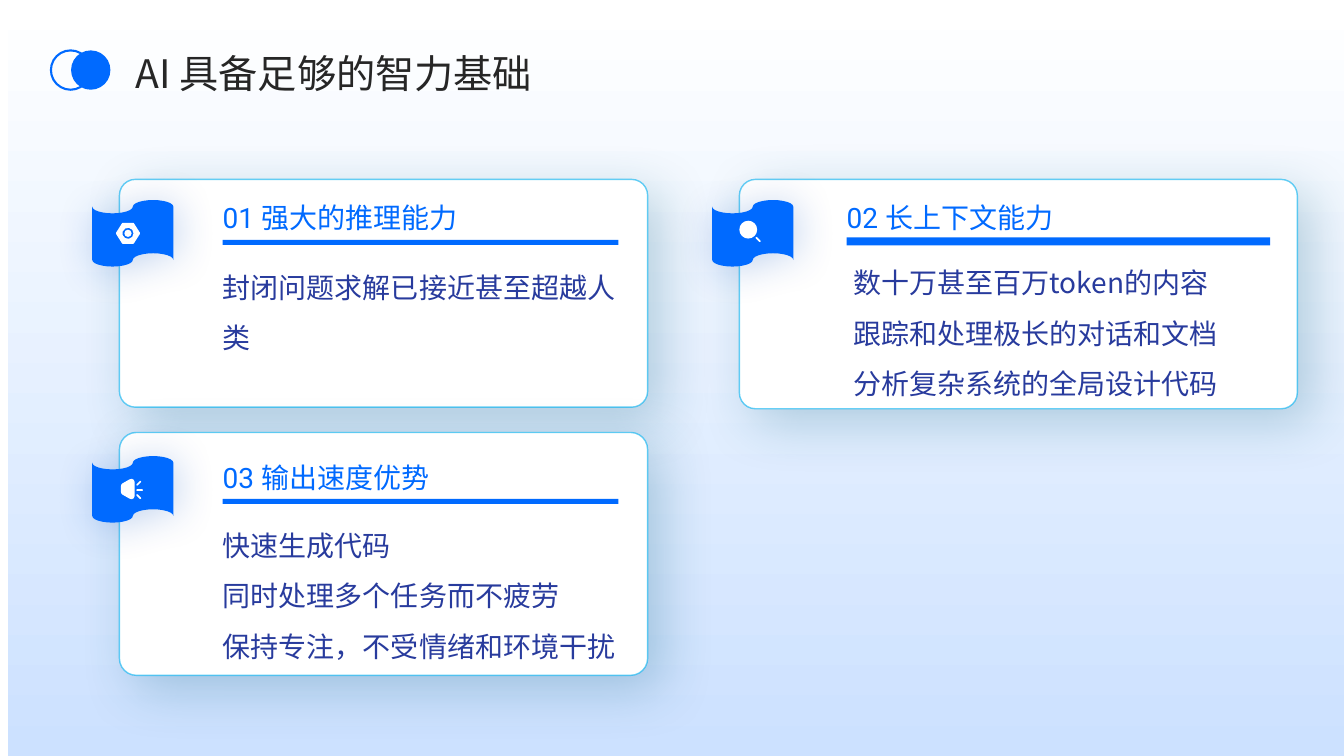
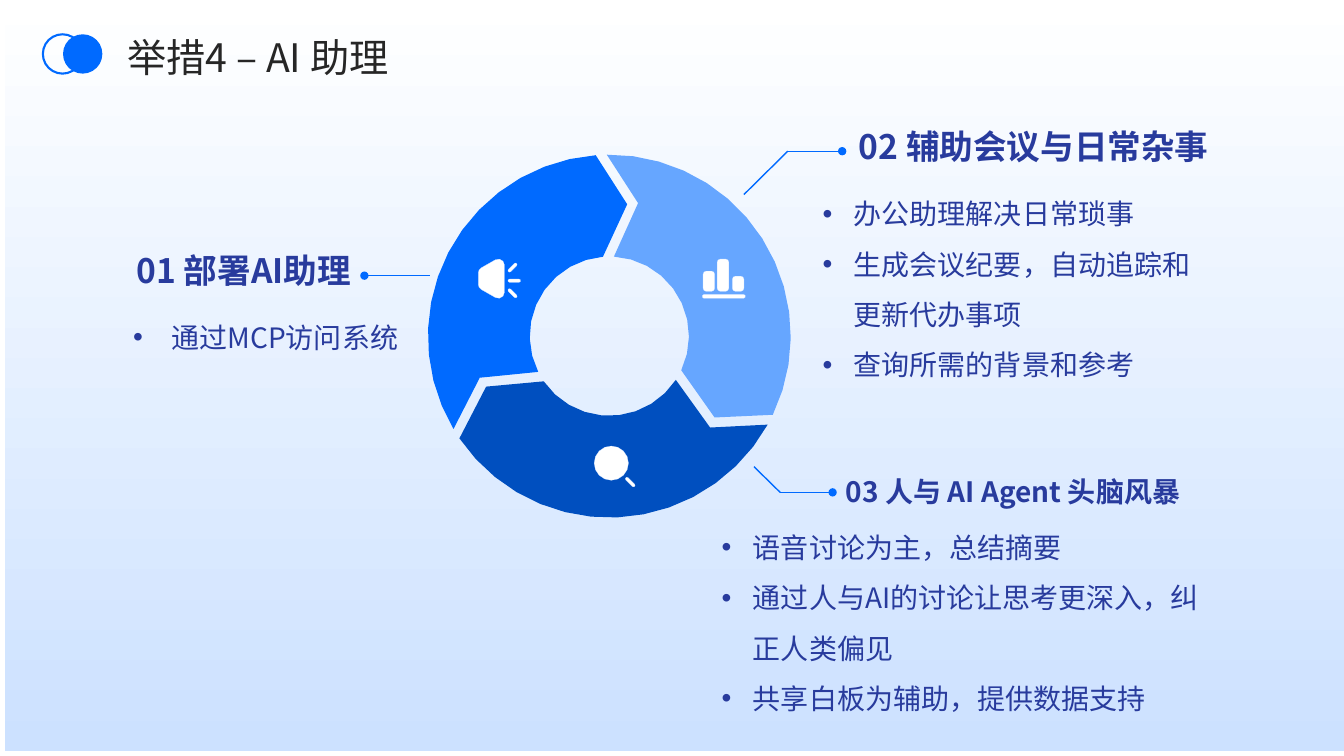
from dataclasses import dataclass
from math import atan2, cos, pi, radians, sin, sqrt, tau
from typing import NamedTuple

from lxml.etree import SubElement
from pptx import Presentation
from pptx.dml.color import RGBColor
from pptx.enum.shapes import MSO_CONNECTOR, MSO_SHAPE
from pptx.enum.text import MSO_ANCHOR, PP_ALIGN
from pptx.oxml.ns import qn
from pptx.shapes.autoshape import Shape
from pptx.slide import Slide
from pptx.util import Emu, Inches, Pt

CELL = Inches(0.1)
COLUMNS, ROWS = 133.33, 75


class Point(NamedTuple):
    x: float
    y: float


class Box(NamedTuple):
    left: float
    top: float
    width: float
    height: float


Contour = list[Point]


@dataclass(frozen=True)
class TextStyle:
    size: float
    color: str
    font: str = "Noto Sans CJK SC"
    bold: bool = False
    line_spacing: float = 1.0
    anchor: MSO_ANCHOR = MSO_ANCHOR.TOP


@dataclass(frozen=True)
class Theme:
    white: str = "FFFFFF"
    pale: str = "CCE1FF"
    light: str = "66A6FF"
    accent: str = "006AFF"
    dark: str = "004FBF"
    card_line: str = "00B0F0"
    card_shadow: str = "005878"
    east_asian_font: str = "Noto Sans CJK SC"
    title: TextStyle = TextStyle(28, "262626", line_spacing=1.2, anchor=MSO_ANCHOR.MIDDLE)
    card_heading: TextStyle = TextStyle(20, "006AFF", "Roboto")
    body: TextStyle = TextStyle(20, "283B9D", line_spacing=1.5)
    heading: TextStyle = TextStyle(24, "283B9D", bold=True, line_spacing=1.1, anchor=MSO_ANCHOR.BOTTOM)
    small_heading: TextStyle = TextStyle(20, "283B9D", bold=True, line_spacing=1.1, anchor=MSO_ANCHOR.BOTTOM)


THEME = Theme()


@dataclass(frozen=True)
class Card:
    panel: Box
    tape: Point
    icon: list[Contour]
    icon_at: Point
    icon_scale: float
    heading: str
    heading_at: Point
    rule: Box
    body_box: Box
    lines: tuple[str, ...]
    indent: float = 0


@dataclass(frozen=True)
class Measure:
    heading: str
    heading_box: Box
    heading_style: TextStyle
    body_box: Box
    lines: tuple[str, ...]
    leader: tuple[Point, ...]
    color: str
    turn: float
    icon: list[Contour]
    icon_at: Point
    indent: float = 3.1
    alignment: PP_ALIGN = PP_ALIGN.LEFT


def cells(count: float) -> Emu:
    """Convert grid cells to a length."""
    return Emu(round(count * CELL))


def rounded(corners: list[tuple[float, float]], radius: float) -> Contour:
    """Outline a clockwise convex set of corner centres with round corners."""
    points = []
    for index, (x, y) in enumerate(corners):
        before_x, before_y = corners[index - 1]
        after_x, after_y = corners[(index + 1) % len(corners)]
        start = atan2(before_x - x, y - before_y)
        end = atan2(x - after_x, after_y - y)
        sweep = (end - start) % tau or tau
        steps = max(1, round(sweep * sqrt(radius) * 2))
        for step in range(steps + (sweep < tau)):
            angle = start + sweep * step / steps
            points.append(Point(x + radius * cos(angle), y + radius * sin(angle)))
    return points


def bar(left: float, top: float) -> Contour:
    """Outline one column of the bar chart icon."""
    return rounded([(left + 0.3, top + 0.3), (left + 0.85, top + 0.3), (left + 0.85, 2.9), (left + 0.3, 2.9)], 0.3)


NUT = [
    rounded([(0.7, 0.1), (1.7, 0.1), (2.3, 1.05), (1.7, 2), (0.7, 2), (0.1, 1.05)], 0.1),
    rounded([(1.2, 1.05)], 0.55),
    rounded([(1.2, 1.05)], 0.36),
]
MAGNIFIER = [rounded([(1.7, 1.7)], 1.7), rounded([(3.25, 3.25), (3.9, 3.9)], 0.16)]
MEGAPHONE = [
    rounded([(2, 0.6), (2, 3.3), (0.6, 2.5), (0.6, 1.4)], 0.6),
    rounded([(3.1, 2.15), (4.05, 2.15)], 0.16),
    rounded([(3.1, 1.15), (3.7, 0.55)], 0.16),
    rounded([(3.1, 3.1), (3.7, 3.7)], 0.16),
]
BARS = [rounded([(0.2, 3.7), (4.1, 3.7)], 0.2), bar(0.1, 1.2), bar(1.5, 0), bar(3, 1.7)]

CARDS = (
    Card(Box(11.85, 17.8, 52.4, 22.6), Point(9.15, 19.85), NUT, Point(11.5, 22.1), 1,
         "01 强大的推理能力", Point(22.1, 19.9), Box(22.1, 23.8, 39.25, 0.5),
         Box(22.1, 25.15, 39.3, 11.4), ("封闭问题求解已接近甚至超越人类",)),
    Card(Box(73.35, 17.8, 55.35, 22.75), Point(70.65, 19.85), MAGNIFIER, Point(73.35, 21.9), 0.52,
         "02 长上下文能力", Point(84, 19.9), Box(84, 23.55, 42, 0.8), Box(84, 24.7, 39.3, 14.8),
         ("数十万甚至百万token的内容", "跟踪和处理极长的对话和文档", "分析复杂系统的全局设计代码"), 0.65),
    Card(Box(11.85, 42.9, 52.4, 24.1), Point(9.15, 45.25), MEGAPHONE, Point(12, 47.5), 0.52,
         "03 输出速度优势", Point(22.1, 45.7), Box(22.1, 49.5, 39.25, 0.5), Box(22.1, 50.75, 39.3, 14.8),
         ("快速生成代码", "同时处理多个任务而不疲劳", "保持专注，不受情绪和环境干扰")),
)

MEASURES = (
    Measure("01 部署AI助理", Box(2.6, 23.9, 32.2, 4.9), THEME.heading,
            Box(12.8, 30.1, 26.7, 8.5), ("通过MCP访问系统",),
            (Point(42.65, 27.35), Point(36.15, 27.35)), THEME.accent, 240,
            MEGAPHONE, Point(47.45, 25.7), 3.8, PP_ALIGN.RIGHT),
    Measure("02 辅助会议与日常杂事", Box(85.2, 11.6, 39.2, 4.9), THEME.heading, Box(81.6, 17.85, 39.2, 20),
            ("办公助理解决日常琐事", "生成会议纪要，自动追踪和更新代办事项", "查询所需的背景和参考"),
            (Point(73.8, 19.3), Point(78.15, 15), Point(83.55, 15)), THEME.light, 0,
            BARS, Point(69.65, 25.7)),
    Measure("03 人与 AI Agent 头脑风暴", Box(83.9, 45.55, 36.2, 4.9), THEME.small_heading,
            Box(71.6, 50.95, 49.2, 18),
            ("语音讨论为主，总结摘要", "通过人与AI的讨论让思考更深入，纠正人类偏见", "共享白板为辅助，提供数据支持"),
            (Point(74.8, 46.3), Point(77.4, 48.85), Point(82.6, 48.85)), THEME.dark, 120,
            MAGNIFIER, Point(58.95, 44.25)),
)


def add_figure(slide: Slide, kind: MSO_SHAPE, box: Box, fill: str | None) -> Shape:
    """Add a preset shape without line or inherited shadow."""
    shape = slide.shapes.add_shape(kind, *map(cells, box))
    shape.shadow.inherit = False
    shape.line.fill.background()
    if fill:
        shape.fill.solid()
        shape.fill.fore_color.rgb = RGBColor.from_string(fill)
    else:
        shape.fill.background()
    return shape


def set_line(shape: Shape, color: str, width: float) -> None:
    """Give a shape or connector a solid line."""
    shape.line.color.rgb = RGBColor.from_string(color)
    shape.line.width = Pt(width)


def add_alpha(color_element, percent: int) -> None:
    """Set the opacity of a colour element."""
    SubElement(color_element, qn("a:alpha"), val=str(percent * 1000))


def add_shadow(shape: Shape, color: str, blur: float, distance: float) -> None:
    """Cast a soft shadow to the lower right."""
    effects = shape._element.spPr.find(qn("a:effectLst"))
    shadow = SubElement(effects, qn("a:outerShdw"), blurRad=str(Pt(blur)), dist=str(Pt(distance)),
                        dir=str(45 * 60000), algn="tl", rotWithShape="0")
    add_alpha(SubElement(shadow, qn("a:srgbClr"), val=color), 23)


def add_text(slide: Slide, box: Box, lines: tuple[str, ...], style: TextStyle, indent: float = 0,
             bullet: bool = False, alignment: PP_ALIGN = PP_ALIGN.LEFT) -> None:
    """Add a text box with one paragraph for each line."""
    frame = slide.shapes.add_textbox(*map(cells, box)).text_frame
    frame.word_wrap = True
    frame.vertical_anchor = style.anchor
    frame.margin_left = frame.margin_top = frame.margin_right = frame.margin_bottom = 0
    for index, line in enumerate(lines):
        paragraph = frame.add_paragraph() if index else frame.paragraphs[0]
        paragraph.alignment = alignment
        paragraph.line_spacing = style.line_spacing
        properties = paragraph._p.get_or_add_pPr()
        if indent:
            properties.set("marL", str(cells(indent)))
        if bullet:
            properties.set("indent", str(-cells(indent)))
            SubElement(properties, qn("a:buFont"), typeface="Arial")
            SubElement(properties, qn("a:buChar"), char="•")
        run = paragraph.add_run()
        run.text = line
        run.font.size = Pt(style.size)
        run.font.bold = style.bold
        run.font.name = style.font
        run.font.color.rgb = RGBColor.from_string(style.color)
        SubElement(run._r.get_or_add_rPr(), qn("a:ea"), typeface=THEME.east_asian_font)


def add_outline(slide: Slide, contours: list[Contour], fill: str, origin: Point, scale: float = 1) -> Shape:
    """Draw closed contours as one filled freeform."""
    placed = [[(cells(origin.x + x * scale), cells(origin.y + y * scale)) for x, y in contour]
              for contour in contours]
    builder = slide.shapes.build_freeform(*placed[0][0], scale=1.0)
    for index, (first, *others) in enumerate(placed):
        if index:
            builder.move_to(*first)
        builder.add_line_segments(others, close=True)
    shape = builder.convert_to_shape()
    shape.shadow.inherit = False
    shape.fill.solid()
    shape.fill.fore_color.rgb = RGBColor.from_string(fill)
    shape.line.fill.background()
    return shape


def add_base(presentation: Presentation, backdrop: Point, title: str, title_at: Point) -> Slide:
    """Add a slide with the shared gradient, title and emblem."""
    slide = presentation.slides.add_slide(presentation.slide_layouts[6])
    background = add_figure(slide, MSO_SHAPE.RECTANGLE, Box(*backdrop, COLUMNS, ROWS), THEME.white)
    background.fill.gradient()
    background.fill.gradient_angle = 270
    for stop, color in zip(background.fill.gradient_stops, (THEME.white, THEME.pale)):
        stop.color.rgb = RGBColor.from_string(color)
    add_text(slide, Box(*title_at, 109.2, 4.7), (title,), THEME.title)
    left, top = title_at.x - 8.4, title_at.y + 0.6
    ring = add_figure(slide, MSO_SHAPE.OVAL, Box(left, top, 3.9, 3.9), None)
    set_line(ring, THEME.accent, 1.5)
    add_figure(slide, MSO_SHAPE.OVAL, Box(left + 2, top, 3.9, 3.9), THEME.accent)
    return slide


def add_card(slide: Slide, card: Card) -> None:
    """Draw one ability card with its icon flag."""
    panel = add_figure(slide, MSO_SHAPE.ROUNDED_RECTANGLE, card.panel, THEME.white)
    panel.adjustments[0] = 0.07
    set_line(panel, THEME.card_line, 1)
    add_alpha(panel._element.spPr.find(f"{qn('a:ln')}//{qn('a:srgbClr')}"), 60)
    add_shadow(panel, THEME.card_shadow, 39, 14)
    tape = add_figure(slide, MSO_SHAPE.FLOWCHART_PUNCHED_TAPE, Box(*card.tape, 8.05, 6.6), THEME.accent)
    add_shadow(tape, THEME.dark, 30, 3)
    add_outline(slide, card.icon, THEME.white, card.icon_at, card.icon_scale)
    add_text(slide, Box(*card.heading_at, 39.3, 3), (card.heading,), THEME.card_heading)
    add_figure(slide, MSO_SHAPE.RECTANGLE, card.rule, THEME.accent)
    add_text(slide, card.body_box, card.lines, THEME.body, card.indent)


def arc(radius: float, start: float, end: float, steps: int) -> Contour:
    """Sample an arc by angles clockwise from the top."""
    angles = [radians(start + (end - start) * step / steps) for step in range(steps + 1)]
    return [Point(radius * sin(angle), -radius * cos(angle)) for angle in angles]


def ring_segment(turn: float) -> Contour:
    """Outline one arrow-ended third of the ring."""
    outer = arc(18, turn - 0.8, turn + 115.7, 14)
    tip = arc(13.2, turn + 127.7, turn + 127.7, 1)[0]
    inner = arc(7.9, turn + 115.4, turn + 3.3, 9)
    notch = arc(13.5, turn + 12.2, turn + 12.2, 1)[0]
    return [*outer, tip, *inner, notch]


def add_leader(slide: Slide, points: tuple[Point, ...]) -> None:
    """Draw a bent leader that ends in a dot."""
    for start, end in zip(points, points[1:]):
        connector = slide.shapes.add_connector(MSO_CONNECTOR.STRAIGHT, *map(cells, (*start, *end)))
        set_line(connector, THEME.accent, 1)
        properties = connector._element.spPr
        if end == points[-1]:
            SubElement(properties.find(qn("a:ln")), qn("a:tailEnd"), type="oval")
        SubElement(properties, qn("a:effectLst"))


def add_measure(slide: Slide, measure: Measure) -> None:
    """Draw one ring segment with its leader and texts."""
    add_outline(slide, [ring_segment(measure.turn)], measure.color, Point(60.45, 33.35))
    icon = add_outline(slide, measure.icon, THEME.white, measure.icon_at)
    set_line(icon, THEME.pale, 0.15)
    add_leader(slide, measure.leader)
    add_text(slide, measure.heading_box, (measure.heading,), measure.heading_style, alignment=measure.alignment)
    add_text(slide, measure.body_box, measure.lines, THEME.body, measure.indent, True, measure.alignment)


def main() -> None:
    """Build and save both slides."""
    presentation = Presentation()
    presentation.slide_width, presentation.slide_height = cells(COLUMNS), cells(ROWS)
    abilities = add_base(presentation, Point(0.8, 0), "AI 具备足够的智力基础", Point(13.45, 4.4))
    for card in CARDS:
        add_card(abilities, card)
    assistant = add_base(presentation, Point(0.5, -0.5), "举措4 – AI 助理", Point(12.65, 2.8))
    for measure in MEASURES:
        add_measure(assistant, measure)
    presentation.save("out.pptx")


if __name__ == "__main__":
    main()
